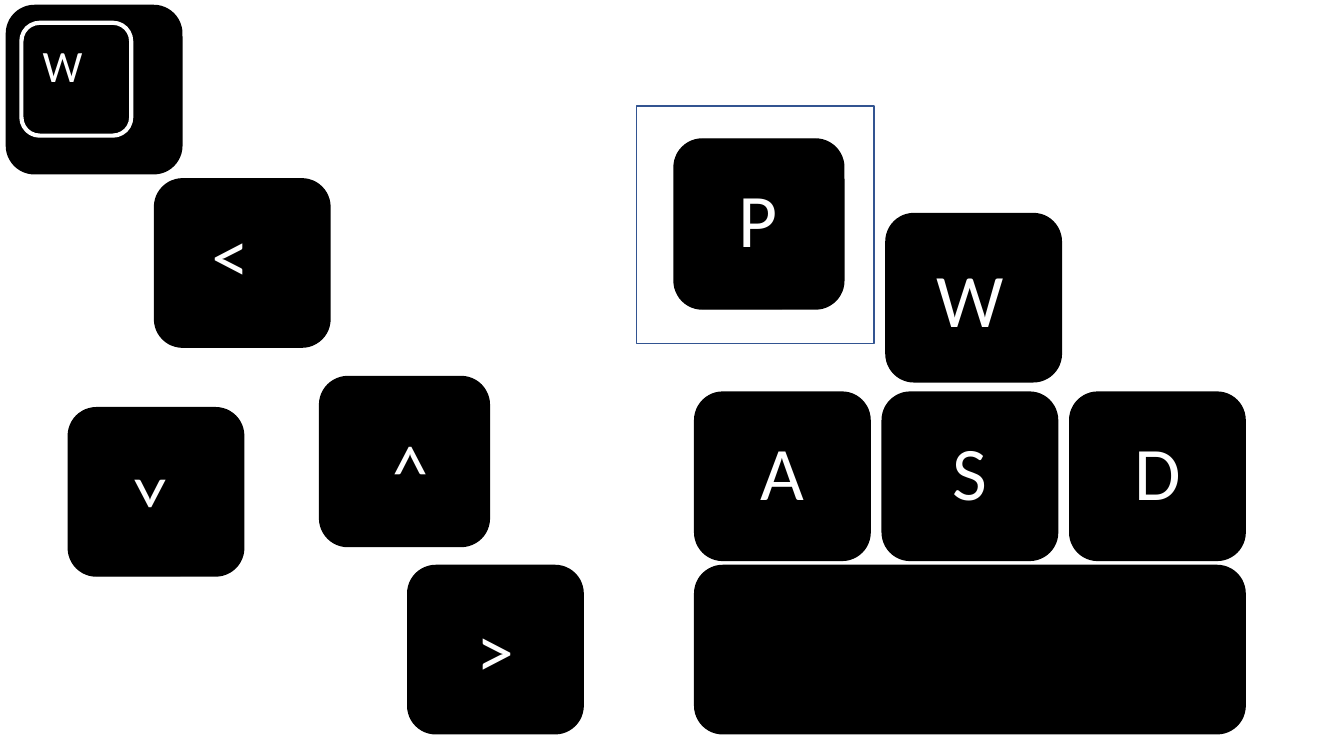
from dataclasses import dataclass

from pptx import Presentation
from pptx.dml.color import RGBColor
from pptx.enum.shapes import MSO_SHAPE
from pptx.enum.text import MSO_AUTO_SIZE, PP_ALIGN
from pptx.util import Inches, Pt

COL, ROW = 1.86, 1.72
COL_GAP, ROW_GAP = 0.12, 0.05
LEFT, TOP = 6.89, 3.89
BLACK, WHITE, BLUE = "000000", "FFFFFF", "325491"


@dataclass(frozen=True)
class Cell:
    col: float
    row: float
    cols: float = 1
    rows: float = 1

    def box(self) -> tuple:
        return (
            Inches(LEFT + self.col * COL),
            Inches(TOP + self.row * ROW),
            Inches(self.cols * COL - COL_GAP),
            Inches(self.rows * ROW - ROW_GAP),
        )


@dataclass(frozen=True)
class Outline:
    cell: Cell
    kind: MSO_SHAPE = MSO_SHAPE.ROUNDED_RECTANGLE
    fill: str | None = BLACK
    line: str = BLACK
    weight: float = 1


@dataclass(frozen=True)
class Label:
    text: str
    cell: Cell
    size: int = 54
    align: PP_ALIGN = PP_ALIGN.CENTER
    rotation: int = 0


OUTLINES = [
    Outline(Cell(-3.67, -2.23)),
    Outline(Cell(-3.59, -2.13, 0.65, 0.68), fill=None, line=WHITE, weight=3),
    Outline(Cell(1.02, -1.03)),
    *(Outline(Cell(col, 0)) for col in range(3)),
    Outline(Cell(0, 1, cols=3)),
    Outline(Cell(-2, -0.09, 0.97, 1.01)),
    Outline(Cell(-2.88, -1.23)),
    Outline(Cell(-3.34, 0.09)),
    Outline(Cell(-1.53, 1)),
    Outline(Cell(-0.11, -1.46, 0.97, 1.01)),
    Outline(Cell(-0.31, -1.65, 1.33, 1.4), MSO_SHAPE.RECTANGLE, None, BLUE),
]

LETTER_ROWS = 0.62
LABELS = [
    Label("W", Cell(-3.53, -2.07, 0.73, 0.4), 32, PP_ALIGN.LEFT),
    Label("W", Cell(1, -0.84, rows=LETTER_ROWS)),
    *(Label(letter, Cell(col, 0.16, rows=LETTER_ROWS)) for col, letter in enumerate("ASD")),
    Label(">", Cell(-1.53, 1.19, rows=LETTER_ROWS)),
    Label(">", Cell(-2.94, -1.03, rows=LETTER_ROWS), rotation=180),
    Label(">", Cell(-2.01, 0.11, rows=LETTER_ROWS), rotation=270),
    Label(">", Cell(-3.34, 0.28, rows=LETTER_ROWS), rotation=90),
    Label("P", Cell(-0.13, -1.3, rows=LETTER_ROWS)),
]


def rgb(value: str) -> RGBColor:
    return RGBColor.from_string(value)


def draw_outline(shapes, outline: Outline) -> None:
    sp = shapes.add_shape(outline.kind, *outline.cell.box())
    sp.shadow.inherit = False
    if outline.fill:
        sp.fill.solid()
        sp.fill.fore_color.rgb = rgb(outline.fill)
    else:
        sp.fill.background()
    sp.line.color.rgb = rgb(outline.line)
    sp.line.width = Pt(outline.weight)


def draw_label(shapes, label: Label) -> None:
    sp = shapes.add_textbox(*label.cell.box())
    sp.rotation = label.rotation
    tf = sp.text_frame
    tf.word_wrap = True
    tf.auto_size = MSO_AUTO_SIZE.SHAPE_TO_FIT_TEXT
    tf.text = label.text
    p = tf.paragraphs[0]
    p.alignment = label.align
    r = p.runs[0]
    r.font.name = "Calibri"
    r.font.size = Pt(label.size)
    r.font.color.rgb = rgb(WHITE)


def main() -> None:
    prs = Presentation()
    prs.slide_width, prs.slide_height = Inches(13.33), Inches(7.5)
    s = prs.slides.add_slide(prs.slide_layouts[6])
    for outline in OUTLINES:
        draw_outline(s.shapes, outline)
    for label in LABELS:
        draw_label(s.shapes, label)
    prs.save("out.pptx")


if __name__ == "__main__":
    main()
